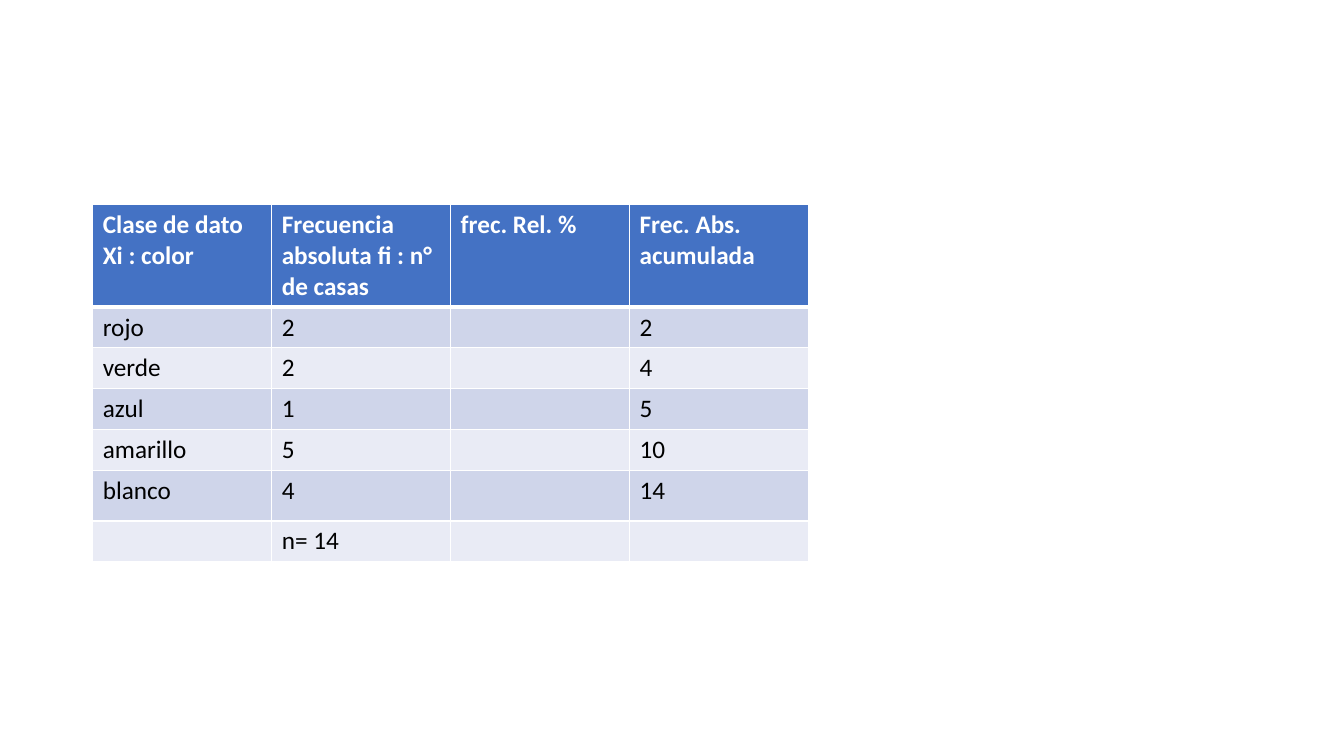
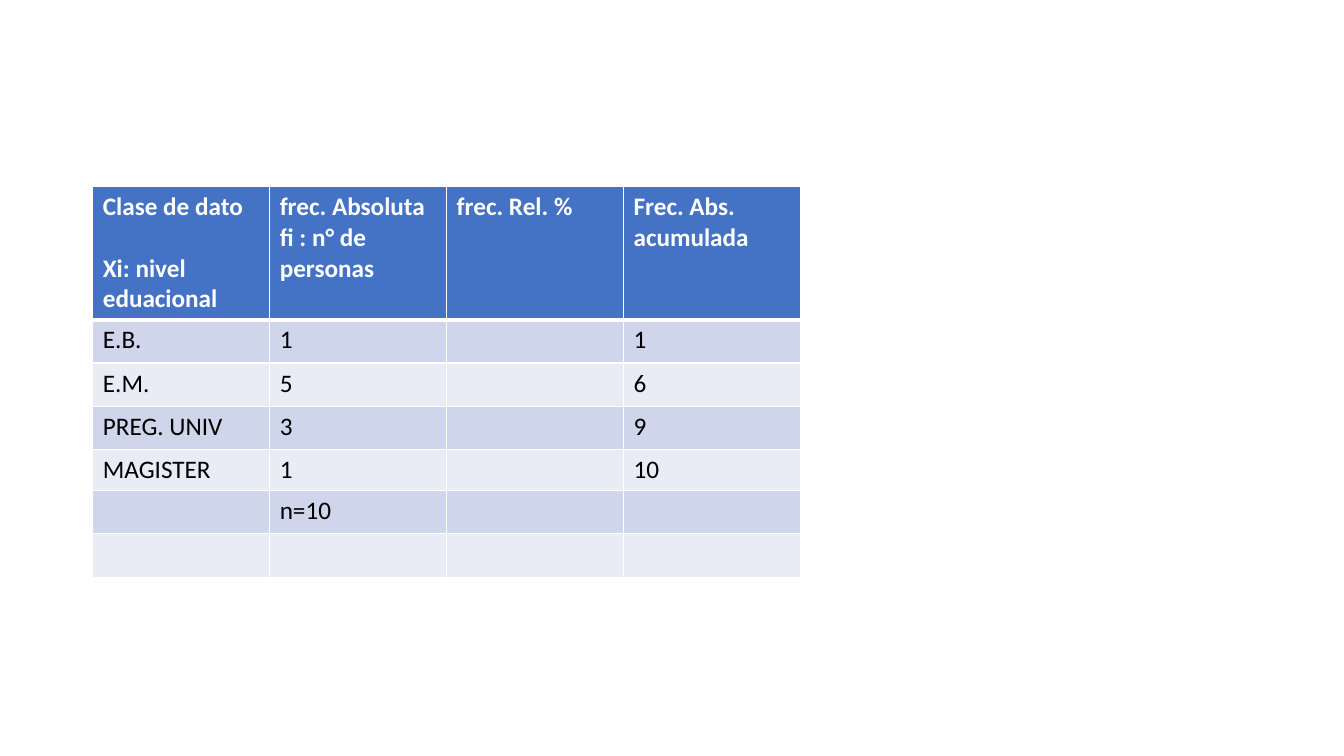
"""Build two slides with frequency tables."""
from dataclasses import dataclass

from lxml import etree
from pptx import Presentation
from pptx.dml.color import RGBColor
from pptx.oxml import ns
from pptx.util import Inches, Pt

BLUE = RGBColor(0x44, 0x72, 0xC4)
DARK = RGBColor(0xCF, 0xD5, 0xEA)
LIGHT = RGBColor(0xE9, 0xEB, 0xF5)
WHITE = RGBColor(0xFF, 0xFF, 0xFF)
BLACK = RGBColor(0x00, 0x00, 0x00)
FONT = "Calibri"
SIZE = Pt(18)
LEFT = Inches(0.92)
THIN, THICK = Pt(1), Pt(3)


@dataclass
class Grid:
    top: float
    width: float
    heights: list[float]
    rows: list[list[str]]
    gap: float = 0


GRIDS = [
    Grid(2.03, 1.775, [1.0, 0.4, 0.4, 0.4, 0.4, 0.5, 0.4], [
        ["Clase de dato\nXi : color", "Frecuencia absoluta fi : n° de casas",
         "frec. Rel. %", "Frec. Abs. acumulada"],
        ["rojo", "2", "", "2"],
        ["verde", "2", "", "4"],
        ["azul", "1", "", "5"],
        ["amarillo", "5", "", "10"],
        ["blanco", "4", "", "14"],
        ["", "n= 14", "", ""],
    ]),
    Grid(1.85, 1.755, [1.3, 0.43, 0.43, 0.43, 0.34, 0.43, 0.43], [
        ["Clase de dato\nXi: nivel eduacional",
         "frec. Absoluta\nfi : n° de personas",
         "frec. Rel. %", "Frec. Abs. acumulada"],
        ["E.B.", "1", "", "1"],
        ["E.M.", "5", "", "6"],
        ["PREG. UNIV", "3", "", "9"],
        ["MAGISTER", "1", "", "10"],
        ["", "n=10", "", ""],
        ["", "", "", ""],
    ], gap=22),
]


def edge(cell, side: str, width: int) -> None:
    props = cell._tc.get_or_add_tcPr()
    line = etree.SubElement(props, ns.qn(f"a:ln{side}"), w=str(width))
    fill = etree.SubElement(line, ns.qn("a:solidFill"))
    etree.SubElement(fill, ns.qn("a:srgbClr"), val=str(WHITE))


def style(cell, row: int, words: str, gap: float) -> None:
    head = row == 0
    for side in "LRTB":
        heavy = (row, side) in ((0, "B"), (1, "T"))
        edge(cell, side, THICK if heavy else THIN)
    cell.fill.solid()
    cell.fill.fore_color.rgb = BLUE if head else DARK if row % 2 else LIGHT
    cell.text = words
    for para in cell.text_frame.paragraphs:
        para.font.name = FONT
        para.font.size = SIZE
        para.font.bold = head
        para.font.color.rgb = WHITE if head else BLACK
    if gap and head and words.startswith("Clase"):
        para.space_before = Pt(gap)


def draw(slide, grid: Grid) -> None:
    count = len(grid.rows[0])
    frame = slide.shapes.add_table(
        len(grid.rows), count, LEFT, Inches(grid.top),
        Inches(grid.width * count), Inches(sum(grid.heights)))
    table = frame.table
    for col in table.columns:
        col.width = Inches(grid.width)
    for row, (height, cells) in enumerate(zip(grid.heights, grid.rows)):
        table.rows[row].height = Inches(height)
        for col, words in enumerate(cells):
            style(table.cell(row, col), row, words, grid.gap)


def main() -> None:
    deck = Presentation()
    deck.slide_width, deck.slide_height = Inches(13.33), Inches(7.5)
    for grid in GRIDS:
        draw(deck.slides.add_slide(deck.slide_layouts[6]), grid)
    deck.save("out.pptx")


if __name__ == "__main__":
    main()
